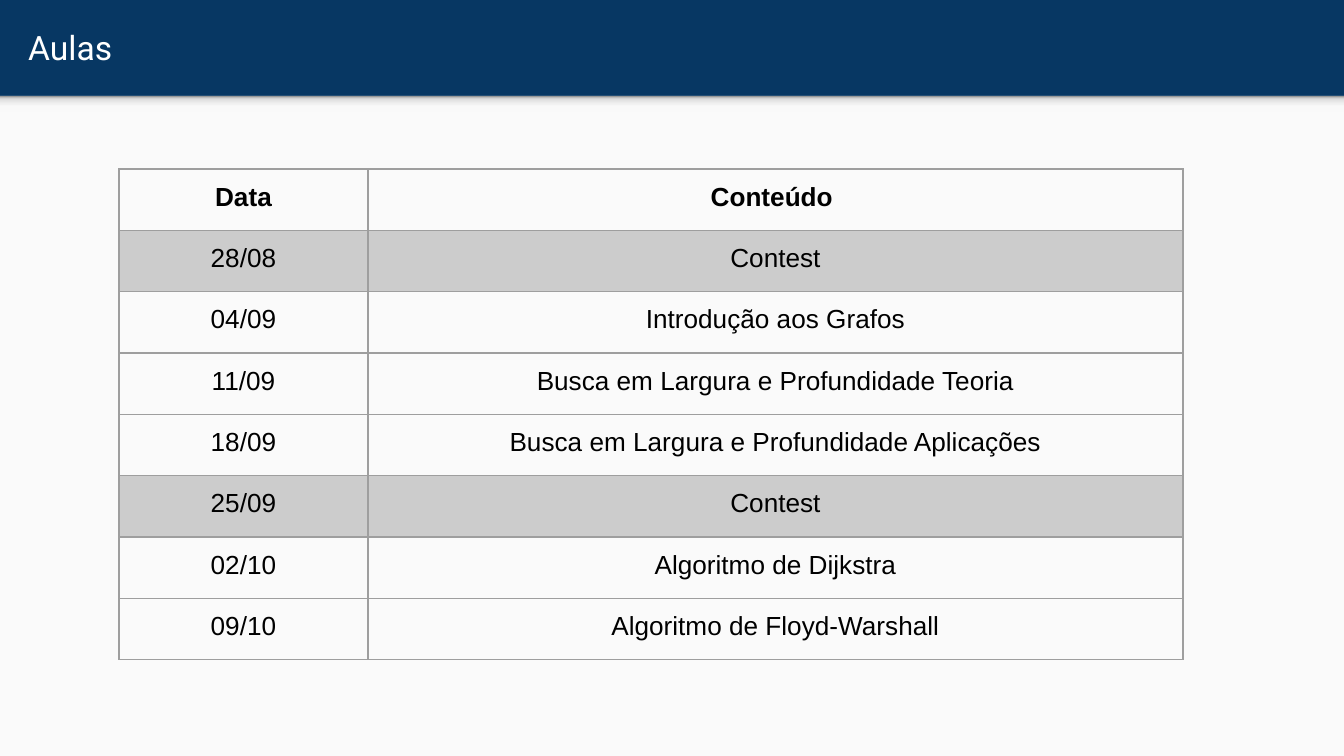
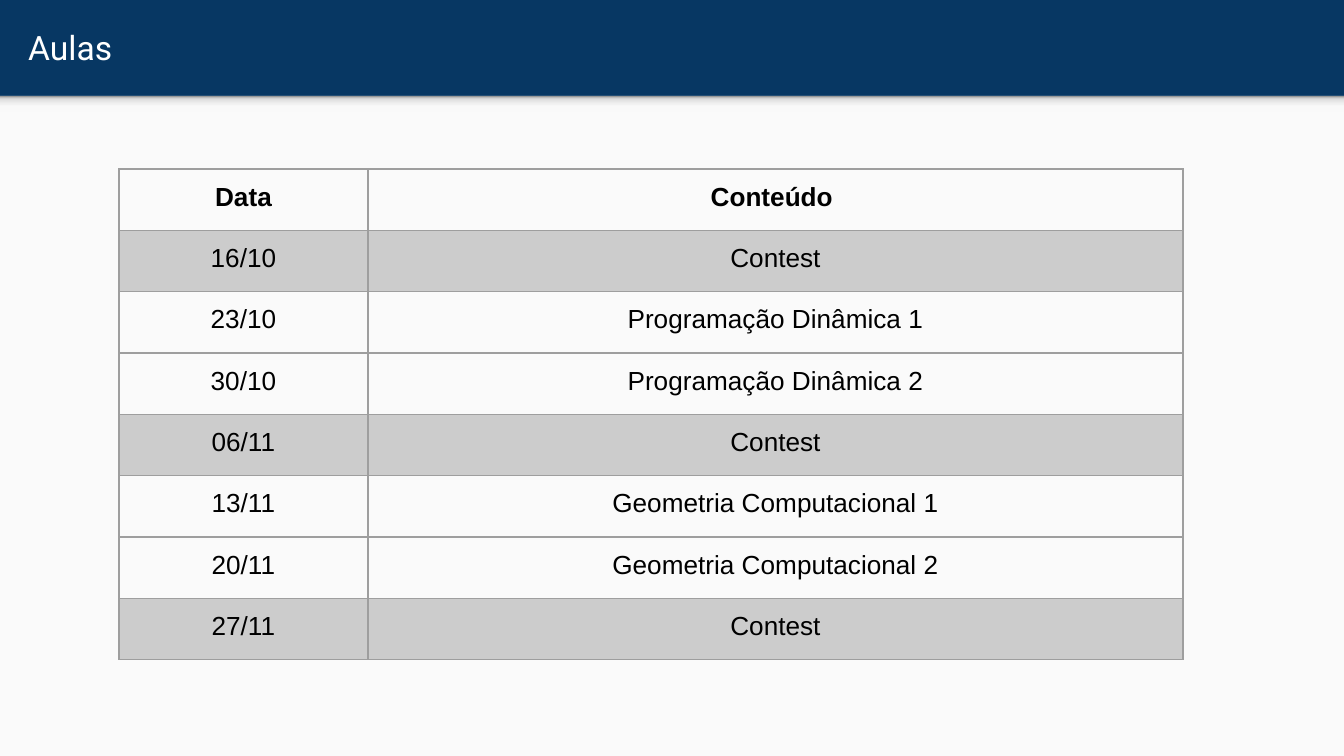
from copy import deepcopy
from dataclasses import dataclass

from lxml import etree
from pptx import Presentation
from pptx import util as u
from pptx.dml.color import RGBColor
from pptx.enum import shapes, text
from pptx.oxml.ns import qn

WIDTH, HEIGHT = 1344, 756
SCALE = u.Inches(10) / WIDTH
BAND_HEIGHT = 96


def px(length):
    return u.Emu(round(length * SCALE))


@dataclass(frozen=True)
class Theme:
    band: str = "073763"
    page: str = "FAFAFA"
    title: str = "FFFFFF"
    body: str = "000000"
    contest: str = "CCCCCC"
    border: str = "9E9E9E"
    shade: tuple = ((0, "F9F9F9"), (36, "F9F9F9"), (80, "DEDEDE"), (100, "999999"))
    title_font: str = "Roboto"
    body_font: str = "Arial"
    title_size: int = 18
    body_size: int = 14
    border_width: float = 0.75
    inset: u.Length = u.Inches(0.1)


class Deck:
    def __init__(self, theme):
        self.theme = theme
        self.presentation = Presentation()
        self.presentation.slide_width = px(WIDTH)
        self.presentation.slide_height = px(HEIGHT)
        self.slide = None

    def add_slide(self, title):
        self.slide = self.presentation.slides.add_slide(self.presentation.slide_layouts[6])
        fill = self.slide.background.fill
        fill.solid()
        fill.fore_color.rgb = RGBColor.from_string(self.theme.band)
        page = self.rectangle(0, BAND_HEIGHT, WIDTH, HEIGHT - BAND_HEIGHT)
        page.fill.solid()
        page.fill.fore_color.rgb = RGBColor.from_string(self.theme.page)
        self.shade(self.rectangle(0, BAND_HEIGHT, WIDTH, 16))
        self.title(title)

    def rectangle(self, left, top, width, height):
        shape = self.slide.shapes.add_shape(
            shapes.MSO_SHAPE.RECTANGLE, px(left), px(top), px(width), px(height))
        shape.shadow.inherit = False
        shape.line.fill.background()
        return shape

    def shade(self, shape):
        shape.fill.gradient()
        shape.fill.gradient_angle = 90
        stop_list = shape._element.spPr.find(qn("a:gradFill")).find(qn("a:gsLst"))
        for _ in range(len(self.theme.shade) - len(stop_list)):
            stop_list.append(deepcopy(stop_list[0]))
        for stop, (position, color) in zip(shape.fill.gradient_stops, self.theme.shade):
            stop.position = position / 100
            stop.color.rgb = RGBColor.from_string(color)

    def title(self, words):
        frame = self.slide.shapes.add_textbox(px(15), px(3), px(1298), px(89)).text_frame
        frame.word_wrap = True
        frame.vertical_anchor = text.MSO_ANCHOR.MIDDLE
        self.set_margins(frame)
        frame.text = words
        self.set_font(frame.paragraphs[0], self.theme.title_font,
                      self.theme.title_size, self.theme.title)

    def table(self, left, top, height, column_widths, rows):
        table = self.slide.shapes.add_table(
            len(rows), len(column_widths), px(left), px(top),
            px(sum(column_widths)), px(height)).table
        table.first_row = table.horz_banding = False
        for column, width in zip(table.columns, column_widths):
            column.width = px(width)
        for index, row in enumerate(rows):
            for cell, words in zip(table.rows[index].cells, row):
                self.cell(cell, words, header=index == 0, shaded="Contest" in row)

    def cell(self, cell, words, header, shaded):
        cell.text = words
        self.set_margins(cell)
        self.set_borders(cell)
        if shaded:
            cell.fill.solid()
            cell.fill.fore_color.rgb = RGBColor.from_string(self.theme.contest)
        else:
            cell.fill.background()
        paragraph = cell.text_frame.paragraphs[0]
        paragraph.alignment = text.PP_ALIGN.CENTER
        self.set_font(paragraph, self.theme.body_font, self.theme.body_size,
                      self.theme.body, header)

    def set_borders(self, cell):
        properties = cell._tc.get_or_add_tcPr()
        for side in ("lnL", "lnR", "lnT", "lnB"):
            line = etree.SubElement(properties, qn(f"a:{side}"),
                                    w=str(u.Pt(self.theme.border_width)))
            fill = etree.SubElement(line, qn("a:solidFill"))
            etree.SubElement(fill, qn("a:srgbClr"), val=self.theme.border)

    def set_margins(self, holder):
        holder.margin_left = holder.margin_right = self.theme.inset
        holder.margin_top = holder.margin_bottom = self.theme.inset

    def set_font(self, paragraph, name, size, color, bold=False):
        font = paragraph.font
        font.name, font.size, font.bold = name, u.Pt(size), bold
        font.color.rgb = RGBColor.from_string(color)


HEADER = ("Data", "Conteúdo ")
SCHEDULES = (
    (
        ("28/08", "Contest"),
        ("04/09", "Introdução aos Grafos"),
        ("11/09", "Busca em Largura e Profundidade Teoria"),
        ("18/09", "Busca em Largura e Profundidade Aplicações"),
        ("25/09", "Contest"),
        ("02/10", "Algoritmo de Dijkstra"),
        ("09/10", "Algoritmo de Floyd-Warshall"),
    ),
    (
        ("16/10", "Contest"),
        ("23/10", "Programação Dinâmica 1"),
        ("30/10", "Programação Dinâmica 2"),
        ("06/11", "Contest"),
        ("13/11", "Geometria Computacional 1"),
        ("20/11", "Geometria Computacional 2"),
        ("27/11", "Contest"),
    ),
)


def main():
    deck = Deck(Theme())
    for lessons in SCHEDULES:
        deck.add_slide("Aulas")
        deck.table(119, 169, 491, (249, 815), (HEADER, *lessons))
    deck.presentation.save("out.pptx")


if __name__ == "__main__":
    main()
